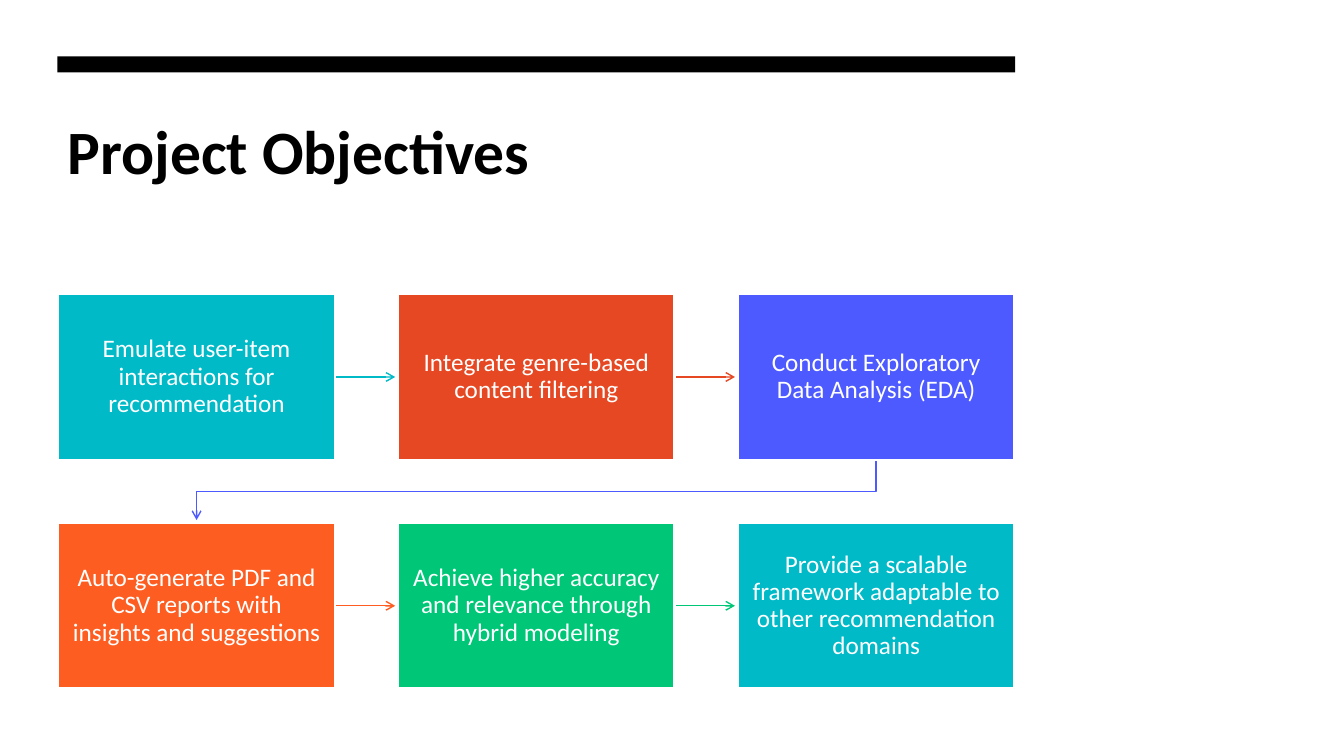
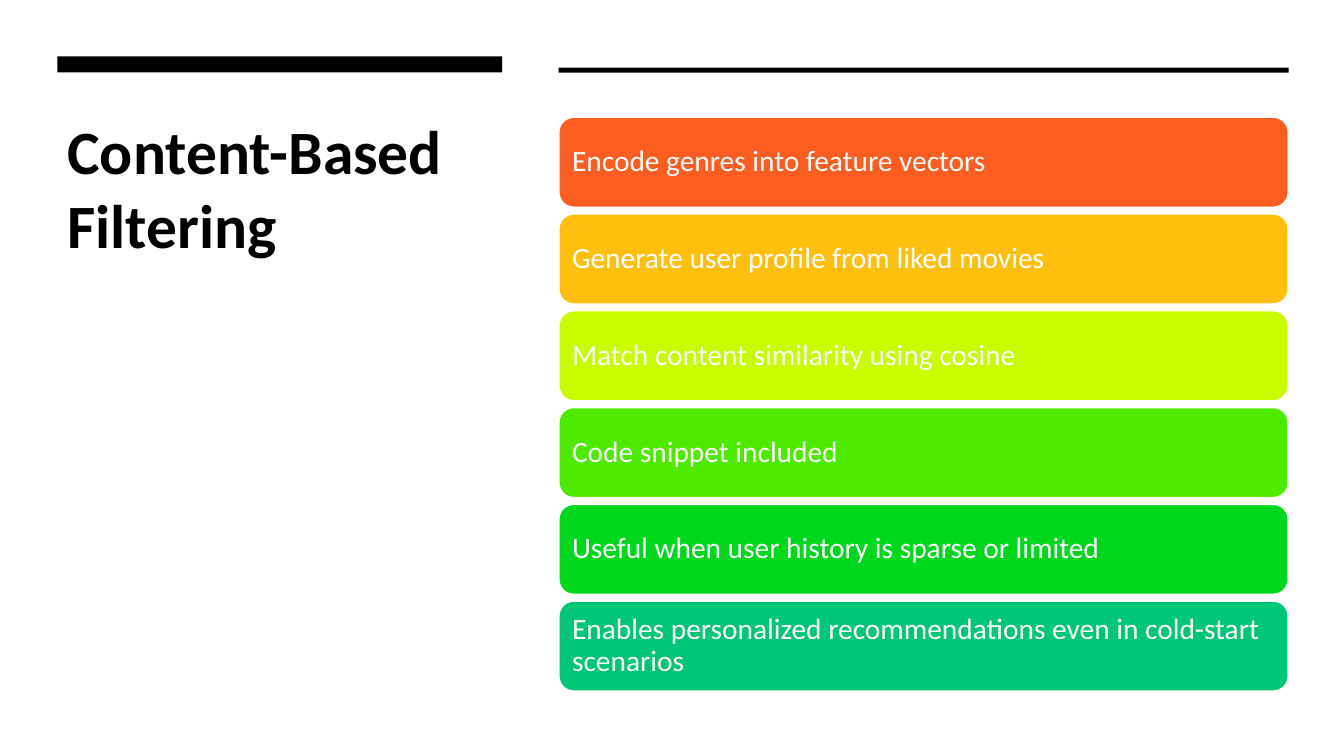
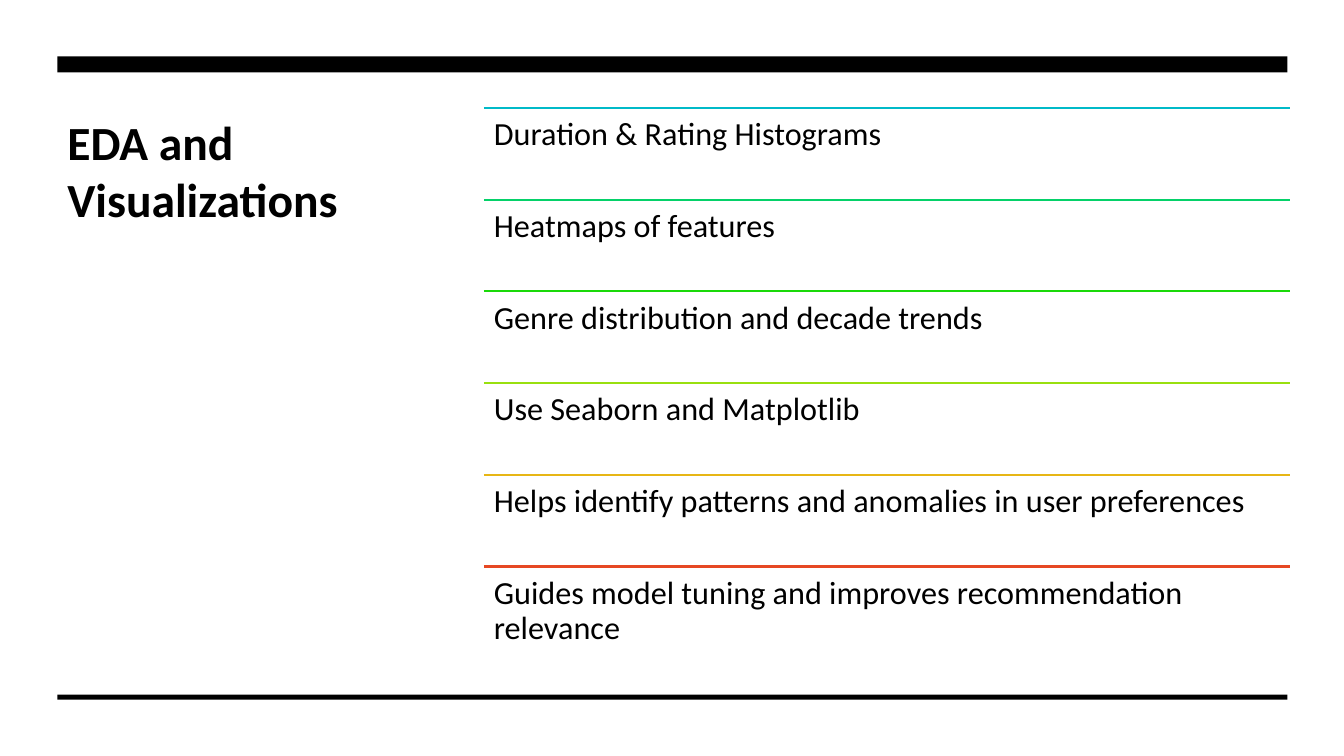
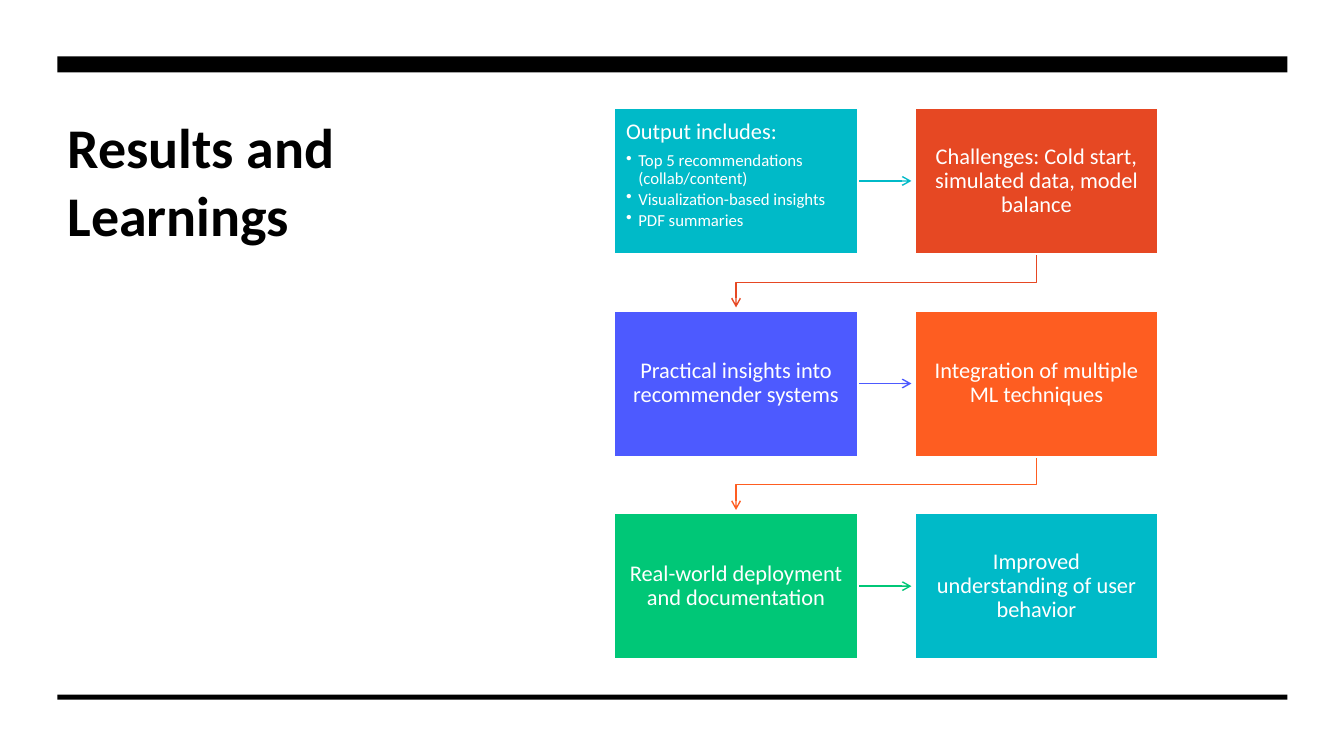
import lxml.etree
import pptx
import pptx.dml.color
import pptx.enum.shapes
import pptx.enum.text
import pptx.oxml.ns
import pptx.util

Inches = pptx.util.Inches
Pt = pptx.util.Pt
RGBColor = pptx.dml.color.RGBColor
SHAPE = pptx.enum.shapes.MSO_SHAPE
STRAIGHT = pptx.enum.shapes.MSO_CONNECTOR.STRAIGHT
ALIGN = pptx.enum.text.PP_ALIGN
ANCHOR = pptx.enum.text.MSO_ANCHOR

FONT = "Calibri"
BLACK = RGBColor(0x00, 0x00, 0x00)
WHITE = RGBColor(0xFF, 0xFF, 0xFF)
TEAL = RGBColor(0x00, 0xBA, 0xC8)
RED = RGBColor(0xE6, 0x48, 0x23)
BLUE = RGBColor(0x4D, 0x5A, 0xFF)
ORANGE = RGBColor(0xFE, 0x5D, 0x21)
EMERALD = RGBColor(0x00, 0xC7, 0x77)
AMBER = RGBColor(0xFE, 0xBF, 0x0F)
LIME = RGBColor(0xC9, 0xFB, 0x01)
LEAF = RGBColor(0x4E, 0xEA, 0x00)
GREEN = RGBColor(0x00, 0xD8, 0x1D)
MINT_LINE = RGBColor(0x04, 0xD1, 0x69)
GREEN_LINE = RGBColor(0x1A, 0xD9, 0x09)
LIME_LINE = RGBColor(0x99, 0xE0, 0x0F)
GOLD_LINE = RGBColor(0xE7, 0xB6, 0x15)
FLOW_COLORS = [TEAL, RED, BLUE, ORANGE, EMERALD, TEAL]

MARGIN = 0.57
FULL_WIDTH = 12.2
ARROW_GAP = 0.03


def add_element(parent, tag, **attributes):
    return lxml.etree.SubElement(parent, pptx.oxml.ns.qn(tag), attributes)


def style_paragraph(paragraph, size, color, bold=False):
    for span in paragraph.runs:
        span.font.name = FONT
        span.font.size = Pt(size)
        span.font.bold = bold
        span.font.color.rgb = color


def set_text(box, text, size, color, inset, anchor, align=ALIGN.LEFT):
    frame = box.text_frame
    frame.word_wrap = True
    frame.vertical_anchor = anchor
    frame.margin_left = frame.margin_right = Inches(inset)
    frame.margin_top = frame.margin_bottom = Inches(inset)
    frame.text = text
    paragraph = frame.paragraphs[0]
    paragraph.alignment = align
    paragraph.line_spacing = 0.9
    style_paragraph(paragraph, size, color)


def add_bullets(box, items, size, color):
    box.text_frame.paragraphs[0].space_after = Pt(5.6)
    for item in items:
        paragraph = box.text_frame.add_paragraph()
        paragraph.text = item
        properties = paragraph._p.get_or_add_pPr()
        properties.set("marL", str(Inches(0.12)))
        properties.set("indent", str(Inches(-0.12)))
        add_element(properties, "a:buChar", char="•")
        paragraph.alignment = ALIGN.LEFT
        paragraph.line_spacing = 0.9
        paragraph.space_after = Pt(1.8)
        style_paragraph(paragraph, size, color)


def add_box(page, kind, left, top, width, height, fill, outline=None):
    box = page.shapes.add_shape(
        kind, Inches(left), Inches(top), Inches(width), Inches(height))
    box.shadow.inherit = False
    box.fill.solid()
    box.fill.fore_color.rgb = fill
    if outline is None:
        box.line.fill.background()
    else:
        box.line.color.rgb = outline
        box.line.width = Pt(1.5)
    return box


def add_heavy_bar(page, width):
    add_box(page, SHAPE.RECTANGLE, MARGIN, 0.56, width, 0.16, BLACK)


def add_thin_bar(page, left, top, width):
    add_box(page, SHAPE.RECTANGLE, left, top, width, 0.05, BLACK)


def add_title(page, text, width, height, size):
    box = page.shapes.add_textbox(
        Inches(MARGIN), Inches(1.07), Inches(width), Inches(height))
    box.text_frame.word_wrap = True
    box.text_frame.text = text
    style_paragraph(box.text_frame.paragraphs[0], size, BLACK, bold=True)


def add_line(page, start, end, color, width):
    line = page.shapes.add_connector(
        STRAIGHT, *(Inches(value) for value in (*start, *end)))
    add_element(line._element.spPr, "a:effectLst")
    line.line.color.rgb = color
    line.line.width = Pt(width)
    return line


def add_arrowhead(line):
    add_element(line.line._get_or_add_ln(), "a:tailEnd", type="arrow")


def add_elbow_arrow(page, points, color):
    corners = [(Inches(x), Inches(y)) for x, y in points]
    builder = page.shapes.build_freeform(*corners[0])
    builder.add_line_segments(corners[1:], close=False)
    elbow = builder.convert_to_shape()
    elbow.shadow.inherit = False
    elbow.fill.background()
    elbow.line.color.rgb = color
    elbow.line.width = Pt(1)
    add_arrowhead(elbow)


def add_flow(page, texts, columns, origin, box_size, gap, size, inset):
    """Lay boxes out row by row, each with an arrow to the next one."""
    width, height = box_size
    boxes = []
    for index, (text, color) in enumerate(zip(texts, FLOW_COLORS)):
        row, column = divmod(index, columns)
        left = origin[0] + column * (width + gap)
        top = origin[1] + row * (height + gap)
        right, bottom = left + width, top + height
        if column < columns - 1:
            middle = top + height / 2
            add_arrowhead(add_line(
                page, (right, middle), (right + gap - ARROW_GAP, middle), color, 1))
        elif index < len(texts) - 1:
            start, end = left + width / 2, origin[0] + width / 2
            turn = bottom + gap / 2
            add_elbow_arrow(page, [
                (start, bottom), (start, turn), (end, turn),
                (end, bottom + gap - ARROW_GAP)], color)
        box = add_box(page, SHAPE.RECTANGLE, left, top, width, height, color, WHITE)
        set_text(box, text, size, WHITE, inset, ANCHOR.MIDDLE, ALIGN.CENTER)
        boxes.append(box)
    return boxes


def add_cards(page, cards):
    for index, (text, color) in enumerate(cards):
        card = add_box(page, SHAPE.ROUNDED_RECTANGLE, 5.54, 1.16 + index * 0.96,
                       7.24, 0.9, color, WHITE)
        set_text(card, text, 21, WHITE, 0.09, ANCHOR.MIDDLE)


def add_ruled_list(page, rows):
    left, width, height = 4.8, 7.99, 0.91
    for index, (text, color) in enumerate(rows):
        top = 1.07 + index * height
        add_line(page, (left, top), (left + width, top), color, 1.5)
        box = page.shapes.add_textbox(
            Inches(left), Inches(top), Inches(width), Inches(height))
        set_text(box, text, 23, BLACK, 0.1, ANCHOR.TOP)


def build_objectives(page):
    add_title(page, "Project Objectives", 9.5, 1.6, 44)
    add_heavy_bar(page, 9.5)
    add_flow(page, [
        "Emulate user-item interactions for recommendation",
        "Integrate genre-based content filtering",
        "Conduct Exploratory Data Analysis (EDA)",
        "Auto-generate PDF and CSV reports with insights and suggestions",
        "Achieve higher accuracy and relevance through hybrid modeling",
        "Provide a scalable framework adaptable to other recommendation domains",
    ], 3, (0.58, 2.92), (2.74, 1.64), 0.63, 18, 0.13)


def build_filtering(page):
    add_title(page, "Content-Based Filtering", 4.41, 3.68, 44)
    add_heavy_bar(page, 4.41)
    add_thin_bar(page, 5.54, 0.67, 7.24)
    add_cards(page, [
        ("Encode genres into feature vectors", ORANGE),
        ("Generate user profile from liked movies", AMBER),
        ("Match content similarity using cosine", LIME),
        ("Code snippet included", LEAF),
        ("Useful when user history is sparse or limited", GREEN),
        ("Enables personalized recommendations even in cold-start scenarios", EMERALD),
    ])


def add_side_title_frame(page, title, size):
    add_title(page, title, 3.45, 4.45, size)
    add_heavy_bar(page, FULL_WIDTH)
    add_thin_bar(page, MARGIN, 6.89, FULL_WIDTH)


def build_visualizations(page):
    add_side_title_frame(page, "EDA and Visualizations", 34)
    add_ruled_list(page, [
        ("Duration & Rating Histograms", TEAL),
        ("Heatmaps of features", MINT_LINE),
        ("Genre distribution and decade trends", GREEN_LINE),
        ("Use Seaborn and Matplotlib", LIME_LINE),
        ("Helps identify patterns and anomalies in user preferences", GOLD_LINE),
        ("Guides model tuning and improves recommendation relevance", RED),
    ])


def build_results(page):
    add_side_title_frame(page, "Results and Learnings", 40)
    boxes = add_flow(page, [
        "Output includes:",
        "Challenges: Cold start, simulated data, model balance",
        "Practical insights into recommender systems",
        "Integration of multiple ML techniques",
        "Real-world deployment and documentation",
        "Improved understanding of user behavior",
    ], 2, (6.09, 1.07), (2.42, 1.45), 0.56, 16, 0.12)
    output_box = boxes[0]
    output_box.text_frame.vertical_anchor = ANCHOR.TOP
    output_box.text_frame.paragraphs[0].alignment = ALIGN.LEFT
    add_bullets(output_box, [
        "Top 5 recommendations (collab/content)",
        "Visualization-based insights",
        "PDF summaries",
    ], 12, WHITE)


def main():
    deck = pptx.Presentation()
    deck.slide_width = Inches(13.33)
    deck.slide_height = Inches(7.5)
    blank = deck.slide_layouts[6]
    for build in (build_objectives, build_filtering, build_visualizations, build_results):
        build(deck.slides.add_slide(blank))
    deck.save("out.pptx")


if __name__ == "__main__":
    main()
